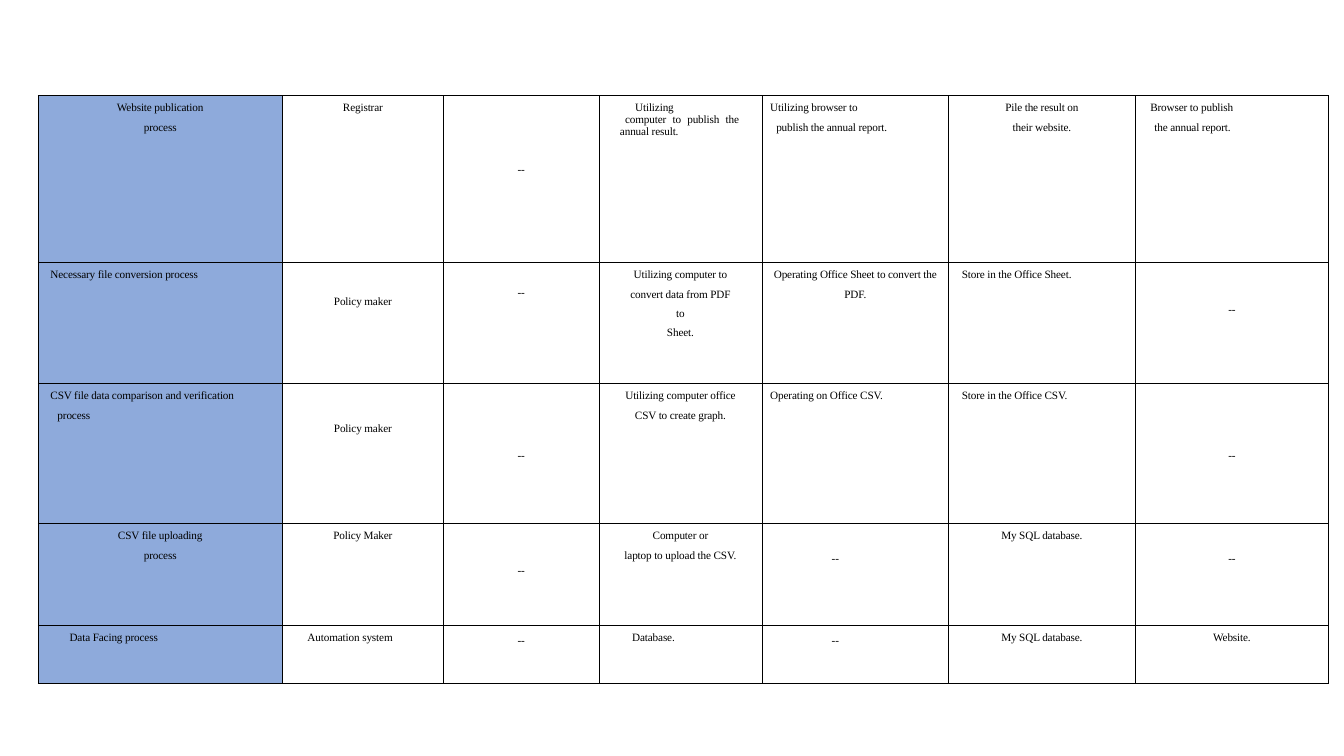
import dataclasses

import pptx
import pptx.dml.color
import pptx.enum.text
import pptx.oxml
import pptx.oxml.ns
import pptx.util
from pptx.util import Inches

BLACK = pptx.dml.color.RGBColor(0x00, 0x00, 0x00)
PROCESS_BLUE = pptx.dml.color.RGBColor(0x8E, 0xAA, 0xDB)
FONT_NAME = "Times New Roman"
FONT_SIZE = 8
LETTER_SPACING = -10
ALIGN = pptx.enum.text.PP_ALIGN

COLUMN_WIDTHS = [2.42, 1.6, 1.54, 1.62, 1.85, 1.85, 1.92]
ROW_HEIGHTS = [1.65, 1.2, 1.39, 1.01, 0.58]
ROW_LEADING = [(13.2, 14.2), (13.7, 13.7), (13.7, 13.7), (13.2, 14.2), (13.4, 13.4)]


@dataclasses.dataclass
class Line:
    text: str
    align: ALIGN = ALIGN.CENTER
    left: float = 0
    first: float = 0
    right: float = 0
    leading: float = 0


@dataclasses.dataclass
class Entry:
    lines: list
    top: float = 0


def centred(*texts):
    return Entry([Line(text) for text in texts])


def lowered(text, top):
    return Entry([Line(text, leading=1.0)], top)


def dash(top):
    return lowered("--", top)


def indented(*pairs):
    return Entry([Line(text, ALIGN.LEFT, left) for left, text in pairs])


def left_dash(top):
    return Entry([Line("--", ALIGN.LEFT, 0.69, leading=1.0)], top)


PROCESSES = [
    [
        centred("Website publication", "process"),
        centred("Registrar"),
        dash(0.67),
        Entry([
            Line("Utilizing", ALIGN.LEFT, 0.36),
            Line("computer to publish the annual result.", ALIGN.JUSTIFY,
                 0.21, 0.05, 0.23, 0.96),
        ]),
        indented((0.08, "Utilizing browser to"), (0.14, "publish the annual report.")),
        centred("Pile the result on", "their website."),
        indented((0.15, "Browser to publish"), (0.19, "the annual report.")),
    ],
    [
        indented((0.12, "Necessary file conversion process")),
        lowered("Policy maker", 0.33),
        dash(0.24),
        Entry([
            Line("Utilizing computer to"),
            Line("convert data from PDF to", left=0.28, right=0.28),
            Line("Sheet."),
        ]),
        centred("Operating Office Sheet to convert the", "PDF."),
        indented((0.13, "Store in the Office Sheet.")),
        dash(0.41),
    ],
    [
        Entry([Line("CSV file data comparison and verification process",
                    ALIGN.LEFT, 0.19, -0.07, 0.2)]),
        lowered("Policy maker", 0.39),
        dash(0.66),
        centred("Utilizing computer office", "CSV to create graph."),
        indented((0.08, "Operating on Office CSV.")),
        indented((0.13, "Store in the Office CSV.")),
        dash(0.66),
    ],
    [
        centred("CSV file uploading", "process"),
        centred("Policy Maker"),
        dash(0.41),
        centred("Computer or", "laptop to upload the CSV."),
        left_dash(0.29),
        centred("My SQL database."),
        dash(0.29),
    ],
    [
        indented((0.31, "Data Facing process")),
        indented((0.25, "Automation system")),
        dash(0.09),
        indented((0.33, "Database.")),
        left_dash(0.09),
        centred("My SQL database."),
        centred("Website."),
    ],
]


def write_line(paragraph, line, row_leading):
    properties = paragraph._p.get_or_add_pPr()
    properties.set("marL", str(Inches(line.left)))
    properties.set("marR", str(Inches(line.right)))
    properties.set("indent", str(Inches(line.first)))
    paragraph.alignment = line.align
    paragraph.line_spacing = line.leading or pptx.util.Pt(row_leading)
    run = paragraph.add_run()
    run.text = line.text
    run.font.name = FONT_NAME
    run.font.size = pptx.util.Pt(FONT_SIZE)
    run.font.color.rgb = BLACK
    run._r.get_or_add_rPr().set("spc", str(LETTER_SPACING))


def add_borders(cell, bottom_width):
    properties = cell._tc.get_or_add_tcPr()
    widths = {"lnL": 0.5, "lnR": 0.5, "lnT": 0.5, "lnB": bottom_width}
    for position, (side, width) in enumerate(widths.items()):
        border = pptx.oxml.parse_xml(
            f'<a:{side} {pptx.oxml.ns.nsdecls("a")} w="{pptx.util.Pt(width)}">'
            f'<a:solidFill><a:srgbClr val="{BLACK}"/></a:solidFill></a:{side}>'
        )
        properties.insert(position, border)


def fill_cell(cell, entry, leading, is_process, bottom_width):
    cell.margin_left = cell.margin_right = cell.margin_bottom = 0
    cell.margin_top = Inches(entry.top)
    if is_process:
        cell.fill.solid()
        cell.fill.fore_color.rgb = PROCESS_BLUE
    else:
        cell.fill.background()
    add_borders(cell, bottom_width)
    text_frame = cell.text_frame
    for index, line in enumerate(entry.lines):
        paragraph = text_frame.add_paragraph() if index else text_frame.paragraphs[0]
        write_line(paragraph, line, leading[min(index, 1)])


def add_process_table(slide):
    frame = slide.shapes.add_table(
        len(ROW_HEIGHTS), len(COLUMN_WIDTHS), Inches(0.38), Inches(0.95),
        Inches(sum(COLUMN_WIDTHS)), Inches(sum(ROW_HEIGHTS)))
    table = frame.table
    table.first_row = False
    table.horz_banding = False
    for column, width in zip(table.columns, COLUMN_WIDTHS):
        column.width = Inches(width)
    for row, height in zip(table.rows, ROW_HEIGHTS):
        row.height = Inches(height)
    last_row = len(PROCESSES) - 1
    for row_index, entries in enumerate(PROCESSES):
        bottom_width = 0.75 if row_index == last_row else 0.5
        for column_index, entry in enumerate(entries):
            fill_cell(table.cell(row_index, column_index), entry,
                      ROW_LEADING[row_index], column_index == 0, bottom_width)


def main():
    presentation = pptx.Presentation()
    presentation.slide_width = Inches(13.33)
    presentation.slide_height = Inches(7.5)
    slide = presentation.slides.add_slide(presentation.slide_layouts[6])
    add_process_table(slide)
    presentation.save("out.pptx")


if __name__ == "__main__":
    main()
